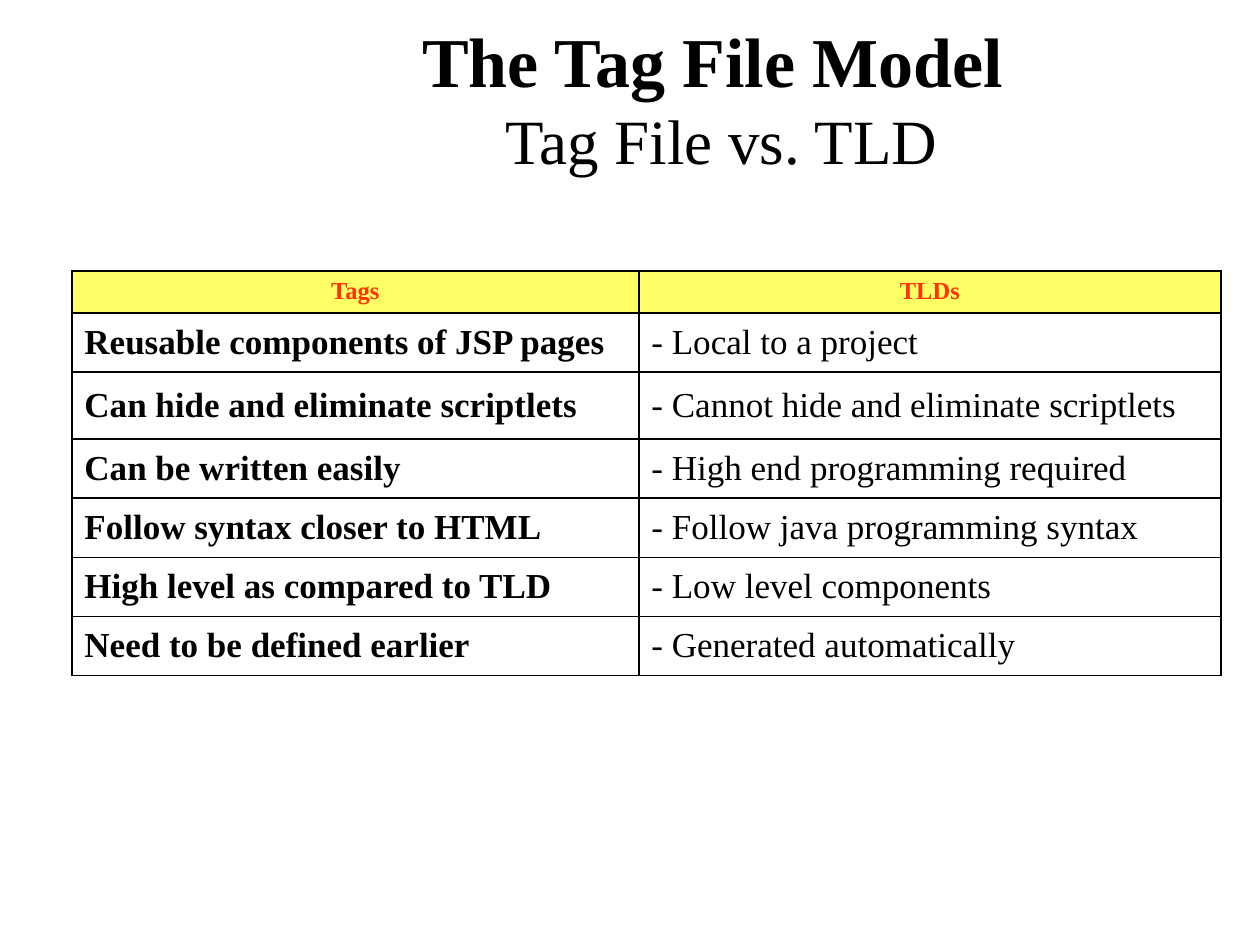
from lxml import etree
from pptx import Presentation
from pptx.dml.color import RGBColor
from pptx.enum.text import MSO_ANCHOR, PP_ALIGN
from pptx.oxml.ns import qn
from pptx.util import Inches, Pt

CENTER, LEFT = PP_ALIGN.CENTER, PP_ALIGN.LEFT
TOP, MIDDLE = MSO_ANCHOR.TOP, MSO_ANCHOR.MIDDLE
FONT = "Times New Roman"
BLACK, RED, YELLOW = "000000", "FF3300", "FFFF66"
HANGING = Inches(0.38)
COLUMN_WIDTHS = [4.5, 4.62]
HEADER_HEIGHT, ROW_HEIGHT, TALL_ROW_HEIGHT = 0.33, 0.47, 0.53
TALL_ROW = 2
COMPARISON = [
    ("Tags", "TLDs"),
    ("Reusable components of JSP pages", "- Local to a project"),
    ("Can hide and eliminate scriptlets", "- Cannot hide and eliminate scriptlets"),
    ("Can be written easily", "- High end programming required"),
    ("Follow syntax closer to HTML", "- Follow java programming syntax"),
    ("High level as compared to TLD", "- Low level components"),
    ("Need to be defined earlier", "- Generated automatically"),
]


def color(value):
    return RGBColor.from_string(value)


def add_run(paragraph, text, size, bold, font_color=BLACK):
    run = paragraph.add_run()
    run.text = text
    run.font.name = FONT
    run.font.size = Pt(size)
    run.font.bold = bold
    run.font.color.rgb = color(font_color)


def add_title(slide):
    box = slide.shapes.add_textbox(Inches(1.45), 0, Inches(8.55), Inches(1.55))
    frame = box.text_frame
    frame.word_wrap = True
    frame.vertical_anchor = MIDDLE
    paragraph = frame.paragraphs[0]
    paragraph.alignment = CENTER
    add_run(paragraph, "The Tag File Model ", 40, True)
    paragraph.add_line_break()
    add_run(paragraph, "Tag File vs. TLD", 36, False)


def add_borders(cell):
    """Draw all four cell edges; call before the fill, which must follow them."""
    properties = cell._tc.get_or_add_tcPr()
    for edge in ("a:lnL", "a:lnR", "a:lnT", "a:lnB"):
        line = etree.SubElement(properties, qn(edge), w=str(Pt(1)))
        fill = etree.SubElement(line, qn("a:solidFill"))
        etree.SubElement(fill, qn("a:srgbClr"), val=BLACK)


def fill_cell(cell, text, is_header, is_first_column):
    add_borders(cell)
    paragraph = cell.text_frame.paragraphs[0]
    properties = paragraph._p.get_or_add_pPr()
    properties.set("marL", str(HANGING))
    properties.set("indent", str(-HANGING))
    if is_header:
        cell.fill.solid()
        cell.fill.fore_color.rgb = color(YELLOW)
        cell.vertical_anchor = TOP
        paragraph.alignment = CENTER
        add_run(paragraph, text, 14, True, RED)
    else:
        cell.fill.background()
        cell.vertical_anchor = MIDDLE
        paragraph.alignment = LEFT
        add_run(paragraph, text, 20, is_first_column)


def add_comparison_table(slide):
    heights = [HEADER_HEIGHT] + [ROW_HEIGHT] * (len(COMPARISON) - 1)
    heights[TALL_ROW] = TALL_ROW_HEIGHT
    frame = slide.shapes.add_table(
        len(heights), len(COLUMN_WIDTHS), Inches(0.57), Inches(2.15),
        Inches(sum(COLUMN_WIDTHS)), Inches(sum(heights)))
    table = frame.table
    table.first_row = False
    table.horz_banding = False
    for column, width in zip(table.columns, COLUMN_WIDTHS):
        column.width = Inches(width)
    for row_index, (row, height) in enumerate(zip(table.rows, heights)):
        row.height = Inches(height)
        for column_index, text in enumerate(COMPARISON[row_index]):
            fill_cell(table.cell(row_index, column_index), text,
                      row_index == 0, column_index == 0)


def main():
    presentation = Presentation()
    presentation.slide_width = Inches(10)
    presentation.slide_height = Inches(7.5)
    slide = presentation.slides.add_slide(presentation.slide_layouts[6])
    add_title(slide)
    add_comparison_table(slide)
    presentation.save("out.pptx")


if __name__ == "__main__":
    main()
